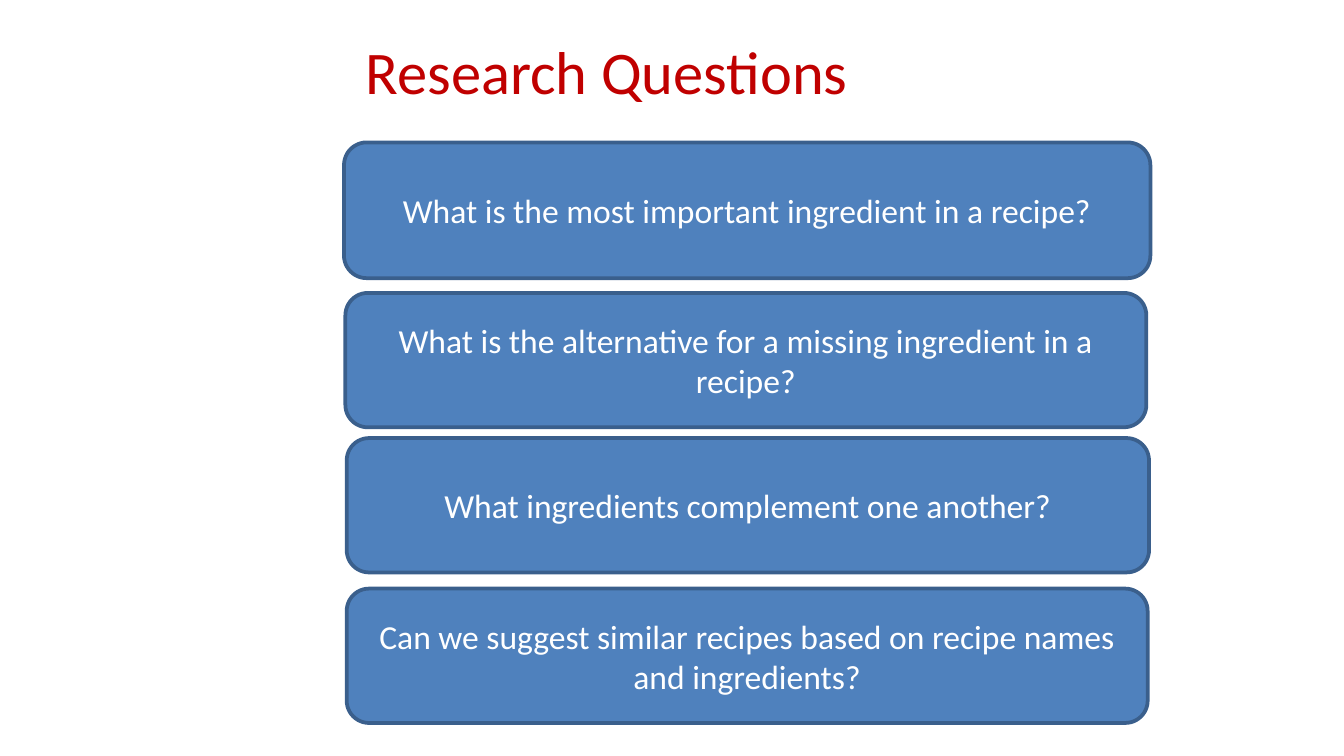
from dataclasses import dataclass

from pptx import Presentation
from pptx.dml.color import RGBColor
from pptx.enum.shapes import MSO_SHAPE
from pptx.enum.text import MSO_ANCHOR, MSO_AUTO_SIZE, PP_ALIGN
from pptx.util import Inches, Pt

ROUNDED = MSO_SHAPE.ROUNDED_RECTANGLE
MIDDLE = MSO_ANCHOR.MIDDLE
NO_AUTOFIT = MSO_AUTO_SIZE.NONE
LEFT, CENTER = PP_ALIGN.LEFT, PP_ALIGN.CENTER


@dataclass(frozen=True)
class Theme:
    font: str = "Calibri"
    heading: RGBColor = RGBColor(0xC0, 0x00, 0x00)
    card: RGBColor = RGBColor(0x4F, 0x81, 0xBD)
    border: RGBColor = RGBColor(0x3A, 0x5F, 0x8C)
    card_text: RGBColor = RGBColor(0xFF, 0xFF, 0xFF)
    heading_size: float = 32.4
    card_size: float = 18
    border_width: float = 2


THEME = Theme()


def write(shape, text, size, color, alignment):
    frame = shape.text_frame
    frame.text = text
    frame.word_wrap = True
    frame.auto_size = NO_AUTOFIT
    frame.vertical_anchor = MIDDLE
    paragraph = frame.paragraphs[0]
    paragraph.alignment = alignment
    font = paragraph.runs[0].font
    font.name = THEME.font
    font.size = Pt(size)
    font.color.rgb = color


prs = Presentation()
prs.slide_width = Inches(10)
prs.slide_height = Inches(10) * 9 // 16
slide = prs.slides.add_slide(prs.slide_layouts[5])

heading = slide.shapes.title
heading.left, heading.top = Inches(2.62), Inches(0.21)
heading.width, heading.height = Inches(6.85), Inches(0.63)
write(heading, "Research Questions", THEME.heading_size, THEME.heading, LEFT)

questions = [
    ("What is the most important ingredient in a recipe?", 2.56, 1.06, 6, 1.01),
    ("What is the alternative for a missing ingredient in a recipe?", 2.57, 2.18, 5.96, 1),
    ("What ingredients complement one another?", 2.58, 3.26, 5.97, 1),
    ("Can we suggest similar recipes based on recipe names and ingredients?", 2.58, 4.38, 5.96, 1),
]

for question, *bounds in questions:
    card = slide.shapes.add_shape(ROUNDED, *map(Inches, bounds))
    card.shadow.inherit = False
    card.fill.solid()
    card.fill.fore_color.rgb = THEME.card
    card.line.color.rgb = THEME.border
    card.line.width = Pt(THEME.border_width)
    write(card, question, THEME.card_size, THEME.card_text, CENTER)

prs.save("out.pptx")
